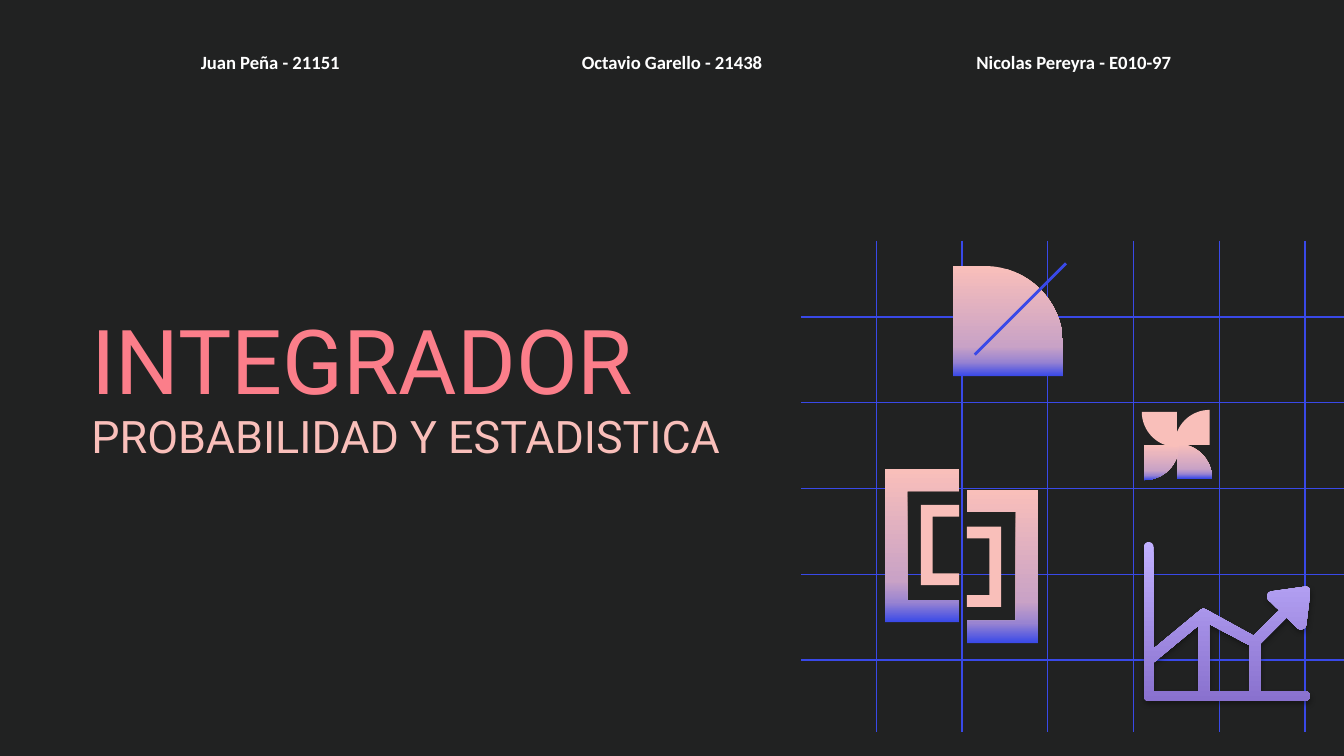
from lxml import etree
from pptx import Presentation
from pptx.dml.color import RGBColor
from pptx.enum.shapes import MSO_CONNECTOR
from pptx.enum.text import MSO_ANCHOR, MSO_AUTO_SIZE, PP_ALIGN
from pptx.oxml.ns import qn
from pptx.util import Pt

STRAIGHT = MSO_CONNECTOR.STRAIGHT
MIDDLE = MSO_ANCHOR.MIDDLE
NO_FIT = MSO_AUTO_SIZE.NONE
LEFT, CENTER = PP_ALIGN.LEFT, PP_ALIGN.CENTER

DARK = RGBColor(0x21, 0x22, 0x22)
BLUE = RGBColor(0x39, 0x49, 0xE8)
CORAL = RGBColor(0xFB, 0x7E, 0x8A)
PEACH = RGBColor(0xF9, 0xBF, 0xBA)
MAUVE = RGBColor(0xC9, 0xA2, 0xC6)
LILAC = RGBColor(0x99, 0x84, 0xD1)
VIOLET = RGBColor(0x89, 0x71, 0xCE)
LAVENDER = RGBColor(0xC1, 0xB0, 0xFF)
WHITE = RGBColor(0xFF, 0xFF, 0xFF)
BLACK = RGBColor(0x00, 0x00, 0x00)

SUNSET = [(0, PEACH), (73, MAUVE), (87, LILAC), (100, BLUE)]
DUSK = [(0, LAVENDER), (100, VIOLET)]
KAPPA = 0.55
CURVE_STEPS = 16
AUTHORS = ["Juan Peña - 21151", "Octavio Garello - 21438", "Nicolas Pereyra - E010-97"]
FRAME_FORMAT = dict(
    word_wrap=True, auto_size=NO_FIT, vertical_anchor=MIDDLE,
    margin_left=Pt(7.2), margin_right=Pt(7.2), margin_top=Pt(7.2), margin_bottom=Pt(7.2),
)

ICON_OUTLINE = [
    (2.6, 0), (1.2, 0, 0, 1.2, 0, 2.6), (0, 82.5), (0, 83.9, 1.2, 85.1, 2.6, 85.1),
    (86.4, 85.1), (89.8, 85.1, 89.8, 79.9, 86.4, 79.9), (62.4, 79.9), (62.4, 54.5),
    (76.5, 40.5), (82, 46), (83.6, 47.5, 86.6, 46.8, 87, 44.4), (89.2, 26.8),
    (89.4, 25.2, 88.2, 23.6, 86.2, 23.9), (68.4, 26.4), (66.2, 26.8, 65.2, 29.6, 66.8, 31.1),
    (72.5, 36.6), (58.8, 50.2), (33.4, 36.2), (32.4, 35.6, 31.4, 35.6, 30.4, 36.3),
    (5.2, 57.2), (5.2, 2.6), (5.2, 1.2, 4, 0, 2.6, 0),
]
ICON_HOLES = [
    [(29.4, 44.6), (29.4, 79.9), (5.2, 79.9), (5.2, 64.6)],
    [(35, 43.9), (56.8, 55.4), (56.8, 79.9), (35, 79.9)],
]


def apply_format(target, formats):
    for name, value in formats.items():
        setattr(target, name, value)


def add_span(para, text, color, **formats):
    span = para.add_run()
    span.text = text
    apply_format(span.font, formats)
    span.font.color.rgb = color


def add_line(page, start, end, width):
    line = page.shapes.add_connector(STRAIGHT, *map(Pt, start + end))
    line.line.color.rgb = BLUE
    line.line.width = Pt(width)
    etree.SubElement(line._element.spPr, qn("a:effectLst"))


def flatten(outline):
    points = []
    for item in outline:
        if len(item) == 2:
            points.append(item)
            continue
        corners = [points[-1], item[:2], item[2:4], item[4:]]
        for step in range(1, CURVE_STEPS + 1):
            t = step / CURVE_STEPS
            weights = [(1 - t) ** 3, 3 * t * (1 - t) ** 2, 3 * t * t * (1 - t), t ** 3]
            points.append(tuple(
                sum(w * corner[axis] for w, corner in zip(weights, corners)) for axis in (0, 1)
            ))
    return points


def add_color(parent, color):
    return etree.SubElement(parent, qn("a:srgbClr"), val=str(color))


def add_outline(page, origin, contours, paint):
    left, top = origin
    placed = [[(Pt(left + x), Pt(top + y)) for x, y in flatten(c)] for c in contours]
    builder = page.shapes.build_freeform(*placed[0][0], scale=1.0)
    builder.add_line_segments(placed[0][1:], close=True)
    for hole in placed[1:]:
        builder.move_to(*hole[0])
        builder.add_line_segments(hole[1:], close=True)
    shape = builder.convert_to_shape()
    shape.shadow.inherit = False
    shape.line.fill.background()
    if isinstance(paint, RGBColor):
        shape.fill.solid()
        shape.fill.fore_color.rgb = paint
        return shape
    shape.fill.gradient()
    shape.fill.gradient_angle = 270
    stops = shape._element.spPr.find(qn("a:gradFill")).find(qn("a:gsLst"))
    for stop in list(stops):
        stops.remove(stop)
    for position, color in paint:
        add_color(etree.SubElement(stops, qn("a:gs"), pos=str(position * 1000)), color)
    return shape


def draw_grid(page, left, top, width, height):
    pitch = 45.95
    for column in range(6):
        x = left + 40.4 + column * pitch
        add_line(page, (x, top), (x, top + height), 0.75)
    for row in range(5):
        y = top + 40.8 + row * pitch
        add_line(page, (left, y), (left + width, y), 0.75)


def write_title(page, left, top, width, height):
    box = page.shapes.title
    apply_format(box, dict(left=Pt(left), top=Pt(top), width=Pt(width), height=Pt(height)))
    apply_format(box.text_frame, FRAME_FORMAT)
    para = box.text_frame.paragraphs[0]
    apply_format(para, dict(alignment=LEFT, line_spacing=0.8))
    add_span(para, "INTEGRADOR", CORAL, size=Pt(48), name="Roboto")
    add_span(para, " ", PEACH, size=Pt(67), name="Roboto")
    add_span(para, "PROBABILIDAD Y ESTADISTICA", PEACH, size=Pt(24), name="Roboto")


def write_authors(page, left, top, width, height):
    box_width = 175.7
    step = (width - box_width) / (len(AUTHORS) - 1)
    for index, author in enumerate(AUTHORS):
        box = page.shapes.add_textbox(*map(Pt, (left + index * step, top, box_width, height)))
        apply_format(box.text_frame, FRAME_FORMAT)
        para = box.text_frame.paragraphs[0]
        para.alignment = CENTER
        add_span(para, author, WHITE, size=Pt(10), name="Calibri", bold=True)


def draw_bracket(page, left, top, width, height, stroke, opens_left, paint):
    outline = [(0, 0), (0, height), (width, height), (width, height - stroke),
               (stroke, height - stroke), (stroke, stroke), (width, stroke), (width, 0)]
    if opens_left:
        outline = [(width - x, y) for x, y in outline]
    add_outline(page, (left, top), [outline], paint)


def draw_brackets(page, left, top):
    draw_bracket(page, left, top, 39.6, 82, 11.8, False, SUNSET)
    draw_bracket(page, left + 43.8, top + 11.2, 38.1, 82, 11.8, True, SUNSET)
    draw_bracket(page, left + 19.2, top + 19.2, 20.4, 43, 6.3, False, PEACH)
    draw_bracket(page, left + 43.8, top + 30.9, 18.3, 43, 6.3, True, PEACH)


def draw_pinwheel(page, left, top, radius):
    petals = [(36.5, 18.8, -1, -1, PEACH), (19, 36.8, 1, -1, SUNSET),
              (1.4, 18.8, 1, 1, SUNSET), (19, 1.1, -1, 1, PEACH)]
    for x, y, across, down, paint in petals:
        dx, dy = across * radius, down * radius
        outline = [(0, 0), (dx, 0), (dx, KAPPA * dy, KAPPA * dx, dy, 0, dy)]
        add_outline(page, (left + x, top + y), [outline], paint)


def draw_dome(page, left, top, size):
    start = 0.29 * size
    reach = KAPPA * (size - start)
    arc = (start + reach, 0, size, size - start - reach, size, size - start)
    add_outline(page, (left, top), [[(0, 0), (0, size), (size, size), (size, size - start),
                                     (size, size - start - reach, start + reach, 0, start, 0)]],
                SUNSET) if len(arc) == 6 else None
    add_line(page, (left + 11.7, top + 47.5), (left + 60.6, top - 1.4), 1.5)


def draw_chart_icon(page, left, top):
    icon = add_outline(page, (left, top), [ICON_OUTLINE] + ICON_HOLES, DUSK)
    effects = icon._element.spPr.find(qn("a:effectLst"))
    shadow = etree.SubElement(effects, qn("a:outerShdw"), blurRad=str(Pt(3.1)),
                              dist=str(Pt(1.8)), dir="5400000", rotWithShape="0")
    etree.SubElement(add_color(shadow, BLACK), qn("a:alpha"), val="35000")


def main():
    deck = Presentation()
    apply_format(deck, dict(slide_width=Pt(720), slide_height=Pt(405)))
    page = deck.slides.add_slide(deck.slide_layouts[5])
    page.background.fill.solid()
    page.background.fill.fore_color.rgb = DARK
    draw_grid(page, 429, 129, 291, 263)
    write_title(page, 41.8, 121, 391, 165.6)
    write_authors(page, 56.9, 23.8, 606.2, 18.7)
    draw_brackets(page, 474.2, 251.3)
    draw_pinwheel(page, 611.5, 219.6, 18.8)
    draw_chart_icon(page, 612.8, 290.4)
    draw_dome(page, 510.5, 142.5, 59)
    deck.save("out.pptx")


if __name__ == "__main__":
    main()
